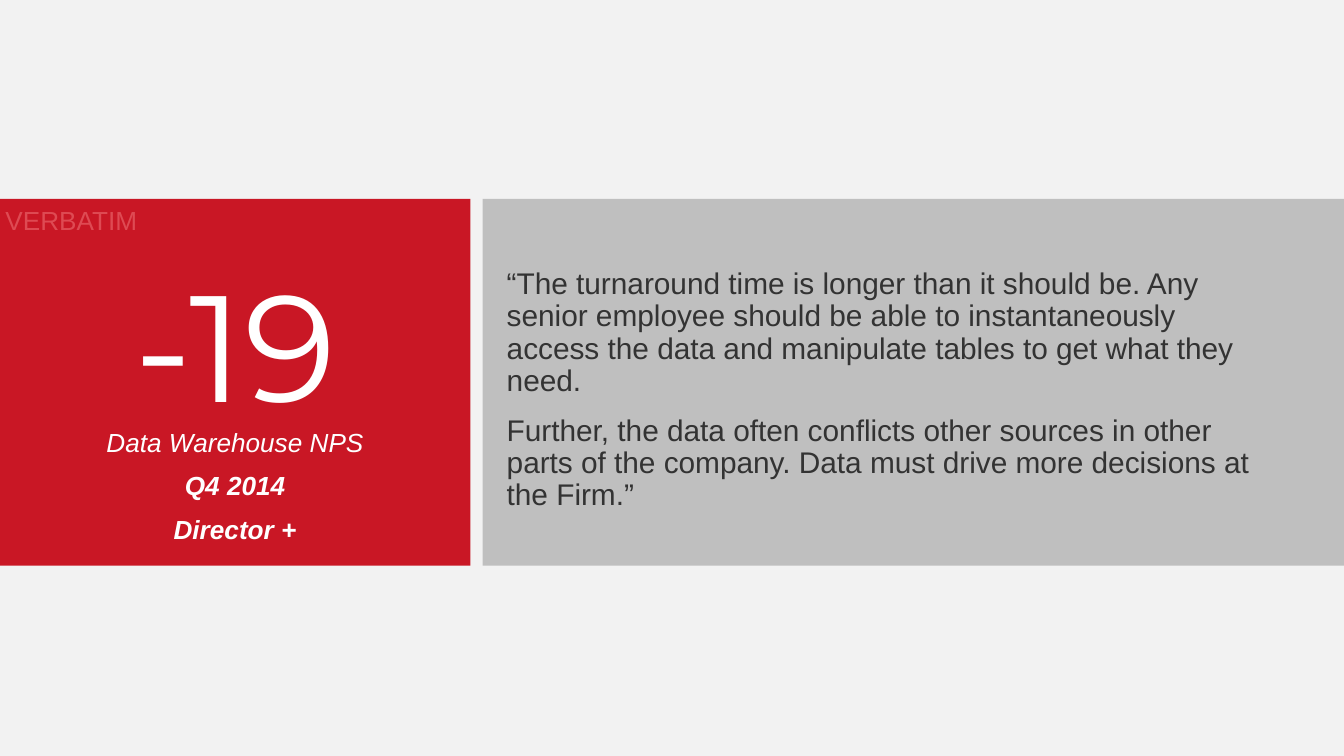
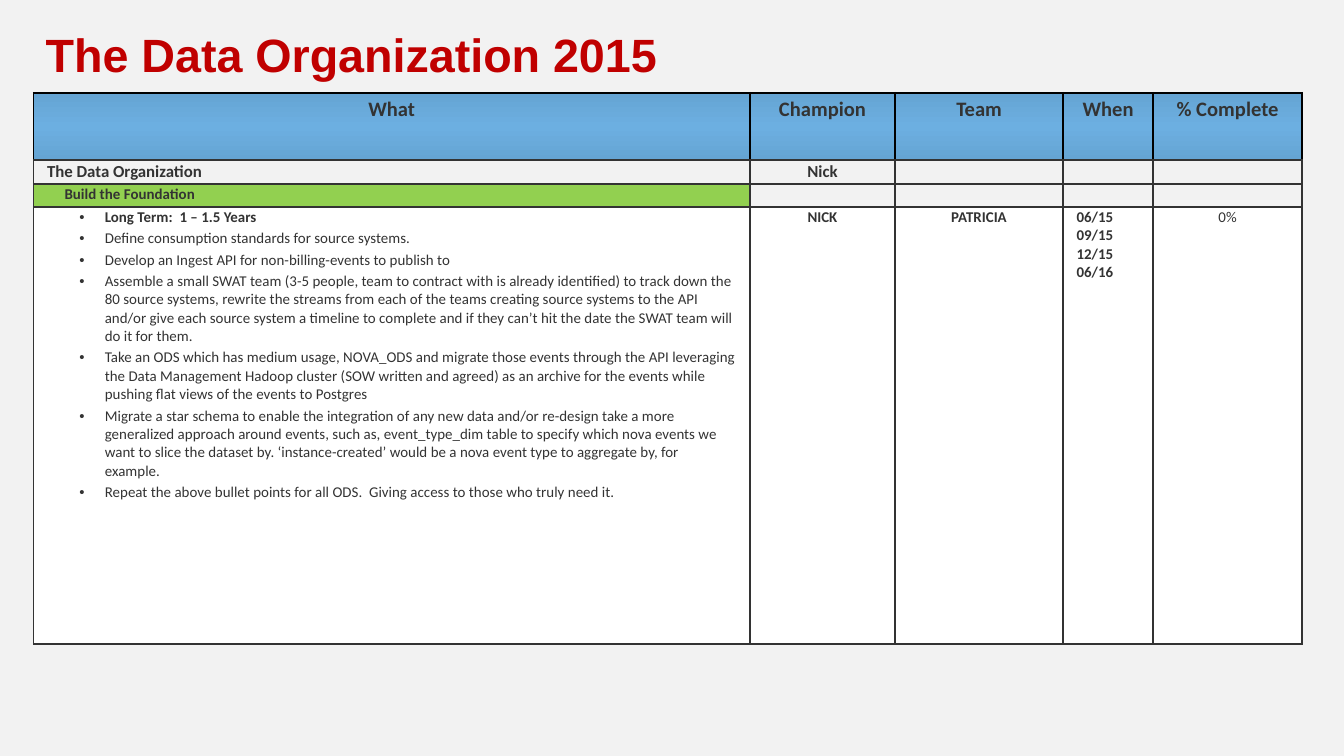
"""Build two slides: a survey verbatim and a data organization plan."""
from dataclasses import dataclass
from typing import NamedTuple, Optional

from lxml.etree import SubElement
from pptx import Presentation
from pptx.dml.color import RGBColor
from pptx.enum.shapes import MSO_SHAPE
from pptx.enum.text import MSO_ANCHOR, MSO_AUTO_SIZE, PP_ALIGN
from pptx.oxml.ns import qn
from pptx.util import Inches, Pt


@dataclass(frozen=True)
class Theme:
    """Colours, fonts and type sizes."""
    page: str = "F2F2F2"
    red: str = "C91725"
    title_red: str = "C00000"
    grey: str = "BFBFBF"
    ink: str = "333333"
    black: str = "000000"
    white: str = "FFFFFF"
    pink: str = "FF9898"
    green: str = "92D050"
    header: tuple = ((0, "65A4D3"), (50, "6CAFE1"), (100, "65A4D3"))
    sans: str = "Arial"
    table: str = "Calibri"
    display: str = "Montserrat"
    score: float = 81
    title: float = 25
    quote: float = 16
    label: float = 14
    head: float = 11
    group: float = 9
    cell: float = 8


class Box(NamedTuple):
    """Place on a grid of 100 square columns across the slide."""
    x: float
    y: float
    w: float
    h: float


class Panel(NamedTuple):
    """A filled background rectangle."""
    box: Box
    fill: str


class Entry(NamedTuple):
    """The content and look of one table cell."""
    lines: tuple = ()
    size: float = 8
    bold: bool = True
    align: PP_ALIGN = PP_ALIGN.CENTER
    fill: Optional[str] = None
    indent: float = 0
    bullet_heading: str = ""


T = Theme()
WIDTH = Inches(10)
HEIGHT = WIDTH * 9 // 16
UNIT = WIDTH // 100
PANELS = (Panel(Box(0, 14.8, 35, 27.3), T.red),
          Panel(Box(35.9, 14.8, 64.1, 27.3), T.grey))
QUOTE = (
    "“The turnaround time is longer than it should be. Any senior employee should be able to "
    "instantaneously access the data and manipulate tables to get what they need.",
    "Further, the data often conflicts other sources in other parts of the company. Data must "
    "drive more decisions at the Firm.”",
)
TASKS = (
    "Define consumption standards for source systems.",
    "Develop an Ingest API for non-billing-events to publish to",
    "Assemble a small SWAT team (3-5 people, team to contract with is already identified) to "
    "track down the 80 source systems, rewrite the streams from each of the teams creating "
    "source systems to the API and/or give each source system a timeline to complete and if "
    "they can’t hit the date the SWAT team will do it for them.",
    "Take an ODS which has medium usage, NOVA_ODS and migrate those events through the API "
    "leveraging the Data Management Hadoop cluster (SOW written and agreed) as an archive for "
    "the events while pushing flat views of the events to Postgres",
    "Migrate a star schema to enable the integration of any new data and/or re-design take a "
    "more generalized approach around events, such as, event_type_dim table to specify which "
    "nova events we want to slice the dataset by. ‘instance-created’ would be a nova event type "
    "to aggregate by, for example.",
    "Repeat the above bullet points for all ODS.  Giving access to those who truly need it.",
)
PLAN_BOX = Box(2.5, 6.9, 94.4, 41)
PLAN_COLS = (53.3, 10.8, 12.5, 6.7, 11.1)
PLAN_ROWS = (5, 1.8, 1.7, 32.5)
PLAN = (
    tuple(Entry((s,), T.head) for s in ("What", "Champion", "Team", "When", "% Complete")),
    (Entry(("The Data Organization",), T.group, align=PP_ALIGN.LEFT),
     Entry(("Nick",), T.group)) + (Entry(),) * 3,
    (Entry(("Build the Foundation",), align=PP_ALIGN.LEFT, fill=T.green, indent=0.13),)
    + (Entry(),) * 4,
    (Entry(TASKS, bold=False, align=PP_ALIGN.LEFT, fill=T.white,
           bullet_heading="Long Term:  1 – 1.5 Years"),
     Entry(("NICK",), fill=T.white),
     Entry(("PATRICIA",), fill=T.white),
     Entry(("06/15", "09/15", "12/15", "06/16"), align=PP_ALIGN.LEFT, fill=T.white),
     Entry(("0%",), bold=False, fill=T.white)),
)


def grid(*values: float) -> list[int]:
    """Convert grid counts to slide lengths."""
    return [round(v * UNIT) for v in values]


def write(tf, *lines: str, size: float, color: str, font: str = T.sans, bold: bool = False,
          italic: bool = False, align: PP_ALIGN = PP_ALIGN.LEFT, spacing: float = 1.0,
          before: float = 0, after: float = 0, indent: float = 0, hang: float = 0,
          bullet: bool = False, alpha: Optional[int] = None) -> None:
    """Append formatted paragraphs to a text frame."""
    for line in lines:
        first = not tf.paragraphs[0].runs
        p = tf.paragraphs[0] if first else tf.add_paragraph()
        pPr = p._p.get_or_add_pPr()
        pPr.set("marL", str(Inches(indent)))
        pPr.set("indent", str(Inches(-hang)))
        if bullet:
            SubElement(pPr, qn("a:buFont"), typeface="Arial")
            SubElement(pPr, qn("a:buChar"), char="•")
        else:
            SubElement(pPr, qn("a:buNone"))
        p.alignment, p.line_spacing = align, spacing
        p.space_before, p.space_after = Pt(0 if first else before), Pt(after)
        r = p.add_run()
        r.text = line
        r.font.name, r.font.size = font, Pt(size)
        r.font.bold, r.font.italic = bold, italic
        r.font.color.rgb = RGBColor.from_string(color)
        if alpha is not None:
            SubElement(r._r.xpath(".//a:srgbClr")[0], qn("a:alpha"), val=str(alpha * 1000))


def frame(sp, box: Box, inset: tuple = (0, 0), anchor: MSO_ANCHOR = MSO_ANCHOR.TOP):
    """Place a text shape in front and return its prepared text frame."""
    sp.left, sp.top, sp.width, sp.height = grid(*box)
    sp._element.getparent().append(sp._element)
    tf = sp.text_frame
    tf.auto_size, tf.word_wrap, tf.vertical_anchor = MSO_AUTO_SIZE.NONE, True, anchor
    tf.margin_left = tf.margin_right = Inches(inset[0])
    tf.margin_top = tf.margin_bottom = Inches(inset[1])
    return tf


def text_box(s, box: Box):
    """Add a text box and return its text frame."""
    return frame(s.shapes.add_textbox(*grid(*box)), box)


def draw_panel(s, panel: Panel) -> None:
    """Draw a plain filled rectangle."""
    sp = s.shapes.add_shape(MSO_SHAPE.RECTANGLE, *grid(*panel.box))
    sp.shadow.inherit = False
    sp.fill.solid()
    sp.fill.fore_color.rgb = RGBColor.from_string(panel.fill)
    sp.line.fill.background()


def set_borders(cell, color: str, bottom: str) -> None:
    """Give a cell one-point borders."""
    tcPr = cell._tc.get_or_add_tcPr()
    for side in "LRTB":
        ln = SubElement(tcPr, qn(f"a:ln{side}"), w=str(Pt(1)))
        fill = SubElement(ln, qn("a:solidFill"))
        SubElement(fill, qn("a:srgbClr"), val=bottom if side == "B" else color)


def set_gradient(cell, stops: tuple) -> None:
    """Fill a cell with a vertical gradient."""
    grad = SubElement(cell._tc.get_or_add_tcPr(), qn("a:gradFill"), rotWithShape="1")
    gs_list = SubElement(grad, qn("a:gsLst"))
    for pos, color in stops:
        gs = SubElement(gs_list, qn("a:gs"), pos=str(pos * 1000))
        SubElement(gs, qn("a:srgbClr"), val=color)
    SubElement(grad, qn("a:lin"), ang=str(90 * 60000), scaled="0")


def fill_cell(cell, entry: Entry, header: bool) -> None:
    """Format one table cell and write its entry."""
    cell.margin_left = cell.margin_right = Inches(0.1)
    cell.margin_top = cell.margin_bottom = Inches(0.03 if header else 0.01)
    set_borders(cell, T.black if header else T.ink, T.ink)
    if header:
        set_gradient(cell, T.header)
    elif entry.fill:
        cell.fill.solid()
        cell.fill.fore_color.rgb = RGBColor.from_string(entry.fill)
    else:
        cell.fill.background()
    tf = cell.text_frame
    look = dict(size=entry.size, color=T.ink, font=T.table, align=entry.align,
                indent=entry.indent)
    if entry.bullet_heading:
        look |= dict(bullet=True, indent=0.43, hang=0.19, before=1.6)
        write(tf, entry.bullet_heading, bold=True, **look)
    write(tf, *entry.lines, bold=entry.bold, **look)
    if not entry.lines:
        SubElement(tf.paragraphs[0]._p, qn("a:endParaRPr"), sz=str(entry.size * 100))


def verbatim_slide(prs) -> None:
    """Build the score and quotation slide."""
    s = prs.slides.add_slide(prs.slide_layouts[1])
    for panel in PANELS:
        draw_panel(s, panel)
    caption = dict(size=T.label, color=T.white, italic=True, align=PP_ALIGN.CENTER,
                   spacing=0.9, before=2, after=6)
    tf = text_box(s, Box(0, 32, 35, 8.6))
    write(tf, "Data Warehouse NPS", **caption)
    write(tf, "Q4 2014", "Director +", bold=True, **caption)
    write(text_box(s, Box(0, 20.2, 35, 12.5)), "-19", size=T.score, color=T.white,
          font=T.display, align=PP_ALIGN.CENTER, spacing=0.9, after=6)
    write(frame(s.placeholders[1], Box(37.7, 20, 55.5, 18.3)), *QUOTE, size=T.quote,
          color=T.ink, spacing=0.9, before=3.6, after=6)
    write(frame(s.shapes.title, Box(0, 14.8, 35.2, 3.2), (0.04, 0.04), MSO_ANCHOR.MIDDLE),
          "VERBATIM", size=T.label, color=T.pink, alpha=40)


def plan_slide(prs) -> None:
    """Build the plan table slide."""
    s = prs.slides.add_slide(prs.slide_layouts[5])
    write(frame(s.shapes.title, Box(2.5, 1.2, 90, 5.6), (0.09, 0.04), MSO_ANCHOR.MIDDLE),
          "The Data Organization 2015", size=T.title, color=T.title_red, bold=True)
    table = s.shapes.add_table(len(PLAN_ROWS), len(PLAN_COLS), *grid(*PLAN_BOX)).table
    table.first_row = table.horz_banding = False
    for col, width in zip(table.columns, grid(*PLAN_COLS)):
        col.width = width
    for row, height in zip(table.rows, grid(*PLAN_ROWS)):
        row.height = height
    for i, entries in enumerate(PLAN):
        for j, entry in enumerate(entries):
            fill_cell(table.cell(i, j), entry, header=i == 0)


def main() -> None:
    """Create and save the presentation."""
    prs = Presentation()
    prs.slide_width, prs.slide_height = WIDTH, HEIGHT
    bg = prs.slide_master.background.fill
    bg.solid()
    bg.fore_color.rgb = RGBColor.from_string(T.page)
    verbatim_slide(prs)
    plan_slide(prs)
    prs.save("out.pptx")


if __name__ == "__main__":
    main()
